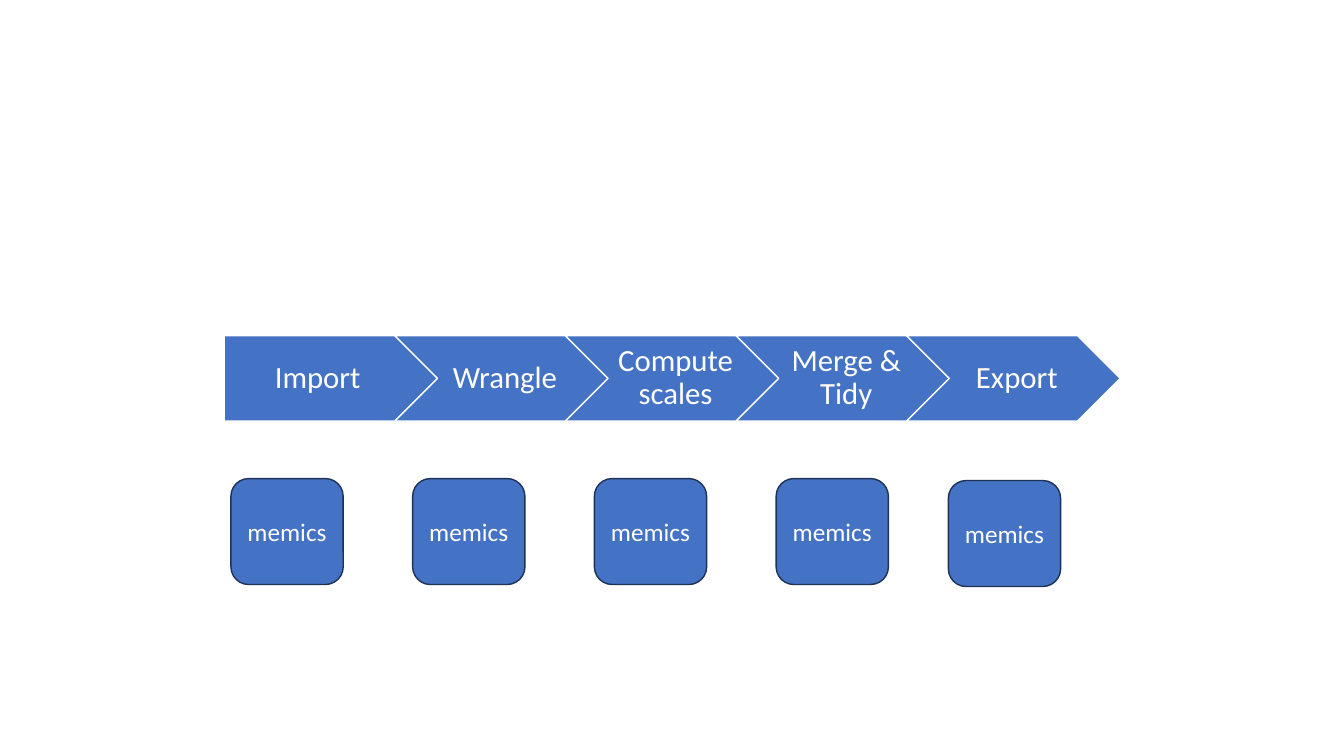
from pptx import Presentation
from pptx.dml.color import RGBColor
from pptx.enum.shapes import MSO_SHAPE
from pptx.enum.text import MSO_ANCHOR, PP_ALIGN
from pptx.util import Cm, Pt

COLORS = {"fill": "4472C4", "edge": "1E3256", "white": "FFFFFF"}
STEPS = ["Import\t", "Wrangle", "Compute scales", "Merge & Tidy", "Export"]
BOXES = [(5.82 + 4.58 * i, 12.06) for i in range(4)] + [(23.9, 12.11)]


class Deck:
    def __init__(self):
        self.prs = Presentation()
        self.prs.slide_width, self.prs.slide_height = Cm(33.87), Cm(19.05)
        self.slide = self.prs.slides.add_slide(self.prs.slide_layouts[6])
        self.font = "Calibri"

    def color(self, name):
        return RGBColor.from_string(COLORS[name])

    def shape(self, kind, text, left, top, width, height, line, size):
        shape = self.slide.shapes.add_shape(
            kind, Cm(left), Cm(top), Cm(width), Cm(height))
        shape.shadow.inherit = False
        shape.fill.solid()
        shape.fill.fore_color.rgb = self.color("fill")
        shape.line.color.rgb = self.color(line)
        shape.line.width = Pt(1)
        frame = shape.text_frame
        frame.word_wrap = True
        frame.vertical_anchor = MSO_ANCHOR.MIDDLE
        para = frame.paragraphs[0]
        para.text = text
        para.alignment = PP_ALIGN.CENTER
        para.font.name = self.font
        para.font.size = Pt(size)
        para.font.color.rgb = self.color("white")
        return shape

    def step(self, index, text):
        first = index == 0
        kind = MSO_SHAPE.PENTAGON if first else MSO_SHAPE.CHEVRON
        arrow = self.shape(kind, text, 5.65 + 4.3 * index, 8.46, 5.38, 2.15,
                           "white", 22)
        frame = arrow.text_frame
        frame.margin_left = Cm(0.33 if first else 0.25)
        frame.margin_right = Cm(0.08)
        frame.margin_top = frame.margin_bottom = Cm(0.15)
        frame.paragraphs[0].line_spacing = 0.9

    def box(self, left, top, text):
        self.shape(MSO_SHAPE.ROUNDED_RECTANGLE, text, left, top, 2.83, 2.67,
                   "edge", 18)


def main():
    deck = Deck()
    for index, text in enumerate(STEPS):
        deck.step(index, text)
    for left, top in BOXES:
        deck.box(left, top, "memics")
    deck.prs.save("out.pptx")


if __name__ == "__main__":
    main()
